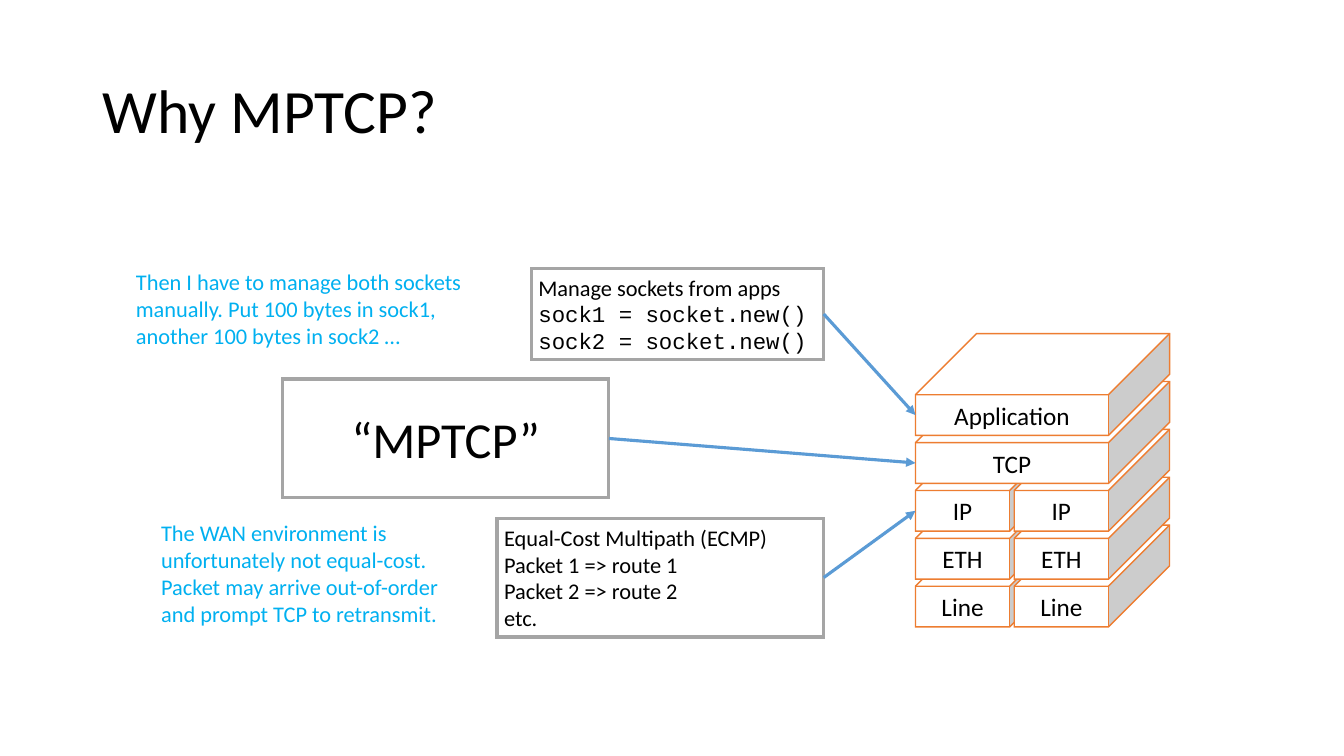
from lxml import etree
from pptx import Presentation
from pptx.dml.color import RGBColor
from pptx.enum.shapes import MSO_CONNECTOR, MSO_SHAPE
from pptx.enum.text import MSO_ANCHOR, MSO_AUTO_SIZE, PP_ALIGN
from pptx.oxml.ns import qn
from pptx.util import Pt

LEFT, CENTER = PP_ALIGN.LEFT, PP_ALIGN.CENTER
MIDDLE, TOP = MSO_ANCHOR.MIDDLE, MSO_ANCHOR.TOP
FIT_SHAPE = MSO_AUTO_SIZE.SHAPE_TO_FIT_TEXT
CUBE, RECTANGLE = MSO_SHAPE.CUBE, MSO_SHAPE.RECTANGLE
STRAIGHT = MSO_CONNECTOR.STRAIGHT

EMU_PER_PX = 9144  # 100 px to the inch
COLORS = {
    "text": "000000",
    "note": "00B0F0",
    "white": "FFFFFF",
    "cube_line": "ED7D31",
    "box_line": "A5A5A5",
    "arrow": "5B9BD5",
}
SANS, MONO = "Calibri", "Courier New"

TITLE = "Why MPTCP?"
TITLE_BOX = (92, 40, 1150, 145)

# Layers from top to bottom, with the number of parallel blocks in each
LAYERS = [("Application", 1), ("TCP", 1), ("IP", 2), ("ETH", 2), ("Line", 2)]
STACK_LEFT, STACK_TOP, STACK_WIDTH = 908, 331, 252
LAYER_STEP, CUBE_HEIGHT, HALF_WIDTH = 47.5, 101, 154
CUBE_DEPTH = 0.6

# Paragraphs are (font, lines); each box points at one layer of the stack
BOXES = [
    ((527, 266, 290, 91), 16, LEFT, 0, [
        (SANS, ["Manage sockets from apps"]),
        (MONO, ["sock1 = socket.new()"]),
        (MONO, ["sock2 = socket.new()"]),
    ]),
    ((493, 514, 324, 118), 16, LEFT, 2, [
        (SANS, ["Equal-Cost Multipath (ECMP)"]),
        (SANS, ["Packet 1 => route 1", "Packet 2 => route 2", "etc."]),
    ]),
    ((280, 376, 324, 118), 36, CENTER, 1, [(SANS, ["“MPTCP”"])]),
]
NOTES = [
    ((125, 261, 347, 91), [
        (SANS, ["Then I have to manage both sockets",
                "manually. Put 100 bytes in sock1,",
                "another 100 bytes in sock2 …"]),
    ]),
    ((150, 510, 300, 118), [
        (SANS, ["The WAN environment is", "unfortunately not equal-cost."]),
        (SANS, ["Packet may arrive out-of-order", "and prompt TCP to retransmit."]),
    ]),
]


def emu(*lengths):
    return [round(length * EMU_PER_PX) for length in lengths]


def rgb(name):
    return RGBColor.from_string(COLORS[name])


def write(frame, paragraphs, size, align=LEFT, color="text", anchor=MIDDLE):
    frame.vertical_anchor = anchor
    for index, (font_name, lines) in enumerate(paragraphs):
        paragraph = frame.add_paragraph() if index else frame.paragraphs[0]
        paragraph.alignment = align
        for number, line in enumerate(lines):
            if number:
                paragraph.add_line_break()
            run = paragraph.add_run()
            run.text = line
            run.font.name = font_name
            run.font.size = Pt(size)
            run.font.color.rgb = rgb(color)


def set_line(shape, color, width, extra, **attributes):
    """Set the outline, then add one XML element such as a join or arrowhead."""
    shape.line.color.rgb = rgb(color)
    shape.line.width = Pt(width)
    outline = shape._element.spPr.find(qn("a:ln"))
    etree.SubElement(outline, qn(extra), **attributes)


def add_block(slide, kind, box, line_color, line_width):
    shape = slide.shapes.add_shape(kind, *emu(*box))
    shape.shadow.inherit = False
    shape.fill.solid()
    shape.fill.fore_color.rgb = rgb("white")
    set_line(shape, line_color, line_width, "a:miter", lim="800000")
    shape.text_frame.word_wrap = True
    return shape


def add_stack(slide):
    """Draw from the bottom layer up, so that each layer covers the one below."""
    for level, (label, count) in reversed(list(enumerate(LAYERS))):
        width = STACK_WIDTH if count == 1 else HALF_WIDTH
        top = STACK_TOP + level * LAYER_STEP
        for column in range(count):
            left = STACK_LEFT + column * (STACK_WIDTH - HALF_WIDTH)
            cube = add_block(slide, CUBE, (left, top, width, CUBE_HEIGHT), "cube_line", 1)
            cube.adjustments[0] = CUBE_DEPTH
            write(cube.text_frame, [(SANS, [label])], 18, CENTER)


def add_arrow(slide, start, end):
    arrow = slide.shapes.add_connector(STRAIGHT, *emu(*start, *end))
    set_line(arrow, "arrow", 2.25, "a:tailEnd", type="triangle")
    etree.SubElement(arrow._element.spPr, qn("a:effectLst"))


def add_box(slide, box, size, align, level, paragraphs):
    """Draw a framed box and its arrow to the front face of a layer."""
    frame = add_block(slide, RECTANGLE, box, "box_line", 2.25).text_frame
    frame.margin_left, frame.margin_right = emu(7, 7)
    frame.margin_top, frame.margin_bottom = emu(4, 4)
    write(frame, paragraphs, size, align)
    left, top, width, height = box
    face_middle = STACK_TOP + level * LAYER_STEP + CUBE_HEIGHT * (1 + CUBE_DEPTH) / 2
    add_arrow(slide, (left + width, top + height / 2), (STACK_LEFT, face_middle))


def add_note(slide, box, paragraphs):
    frame = slide.shapes.add_textbox(*emu(*box)).text_frame
    frame.word_wrap = False
    frame.auto_size = FIT_SHAPE
    write(frame, paragraphs, 16, color="note", anchor=TOP)


def main():
    presentation = Presentation()
    presentation.slide_width, presentation.slide_height = emu(1333, 750)
    slide = presentation.slides.add_slide(presentation.slide_layouts.get_by_name("Title Only"))

    title = slide.shapes.title
    title.left, title.top, title.width, title.height = emu(*TITLE_BOX)
    write(title.text_frame, [(SANS, [TITLE])], 44)
    title.text_frame.paragraphs[0].line_spacing = 0.9

    add_stack(slide)
    for box in BOXES:
        add_box(slide, *box)
    for note in NOTES:
        add_note(slide, *note)
    presentation.save("out.pptx")


if __name__ == "__main__":
    main()
